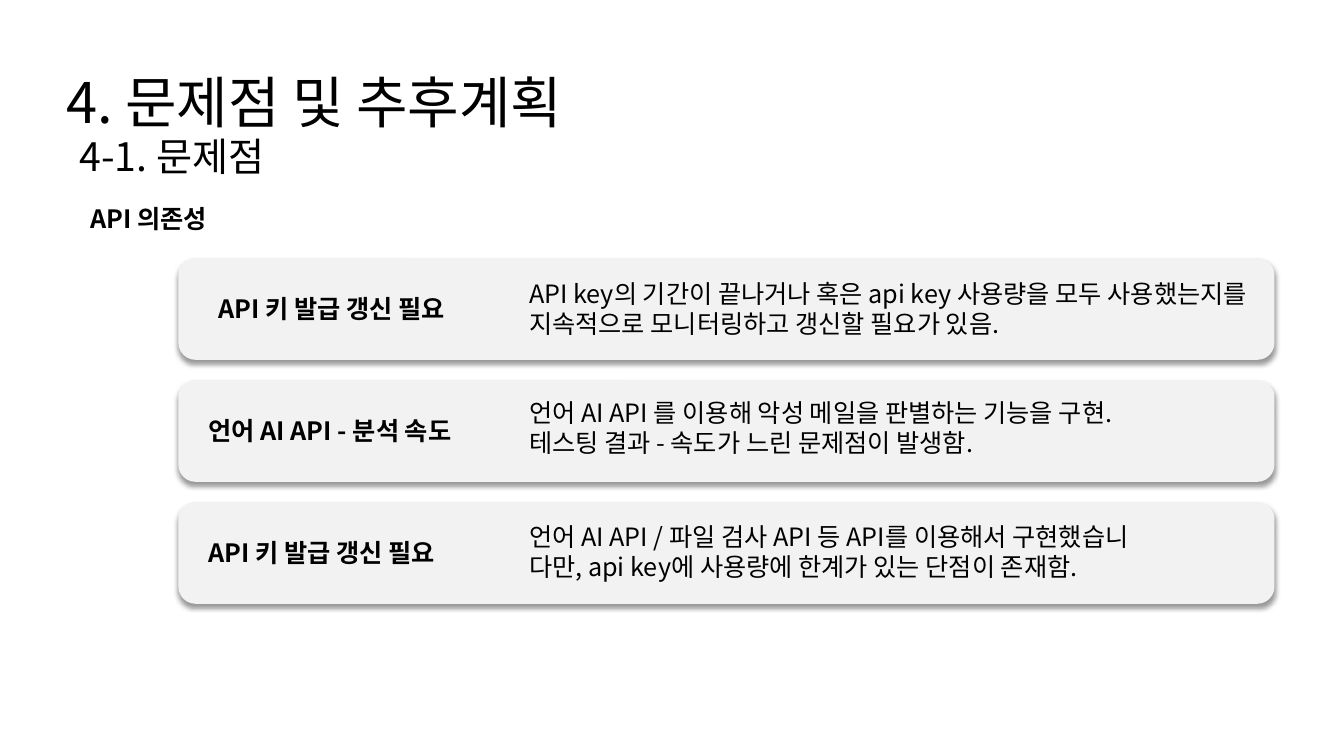
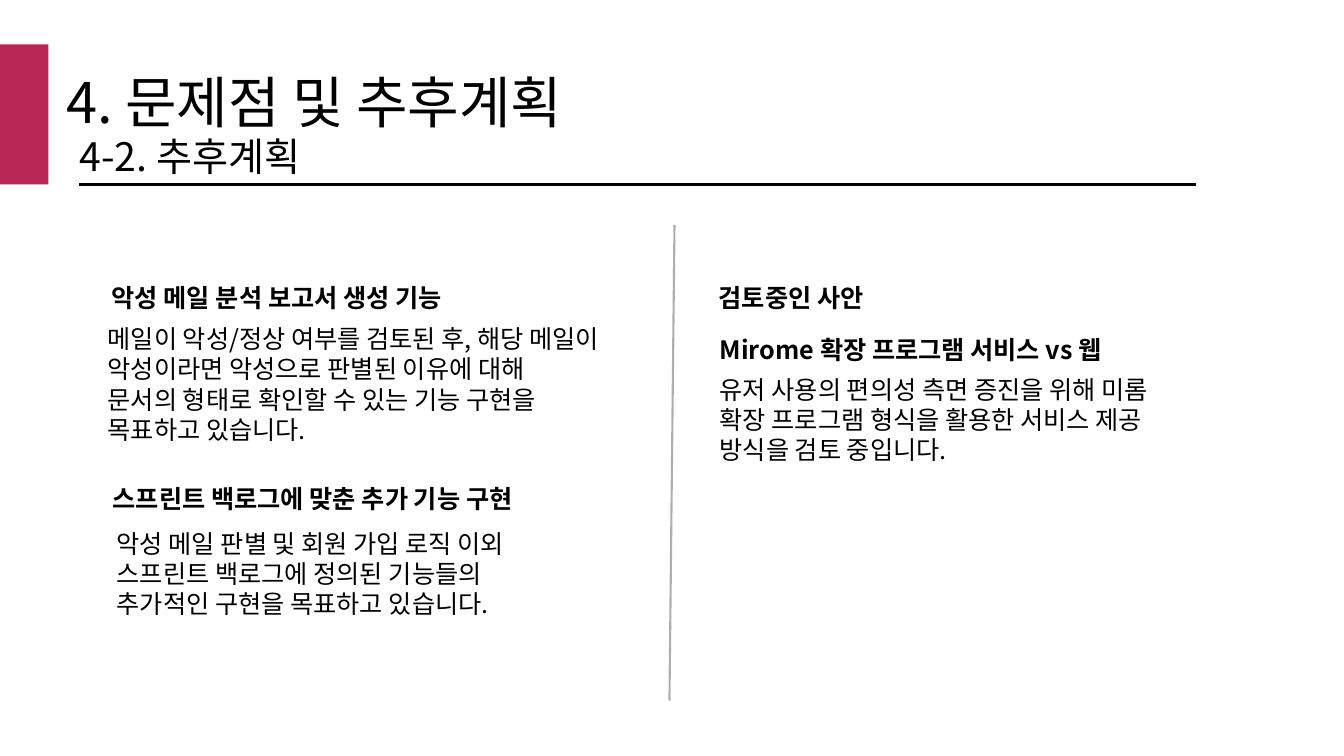
from dataclasses import dataclass

from lxml import etree
from pptx import Presentation
from pptx.dml.color import RGBColor
from pptx.enum.shapes import MSO_CONNECTOR, MSO_SHAPE
from pptx.enum.text import MSO_AUTO_SIZE
from pptx.oxml.ns import qn
from pptx.util import Inches, Pt

RECTANGLE = MSO_SHAPE.RECTANGLE
ROUNDED = MSO_SHAPE.ROUNDED_RECTANGLE
STRAIGHT = MSO_CONNECTOR.STRAIGHT
GROW = MSO_AUTO_SIZE.SHAPE_TO_FIT_TEXT


@dataclass(frozen=True)
class Theme:
    font: str = "Noto Sans CJK KR"
    ink: str = "000000"
    card: str = "F2F2F2"
    accent: str = "B72654"
    divider: str = "AEAEAE"
    title_size: int = 40
    subtitle_size: int = 28
    body_size: int = 18
    rule_width: float = 1.5


THEME = Theme()
TITLE = "4. 문제점 및 추후계획"
CARD_TOP = 2.56
CARD_HEIGHT = 1.01
CARD_STEP = 1.21
CARDS = [
    ("API 키 발급 갱신 필요", 2.07, 0.15,
     ["API key의 기간이 끝나거나 혹은 api key 사용량을 모두 "
      "사용했는지를 지속적으로 모니터링하고 갱신할 필요가 있음."]),
    ("언어 AI API - 분석 속도", 1.97, 0.12,
     ["언어 AI API 를 이용해 악성 메일을 판별하는 기능을 구현.",
      "테스팅 결과 - 속도가 느린 문제점이 발생함."]),
    ("API 키 발급 갱신 필요", 1.97, 0.14,
     ["언어 AI API / 파일 검사 API 등 API를 이용해서 구현했습니",
      "다만, api key에 사용량에 한계가 있는 단점이 존재함."]),
]
PLAN_HEADINGS = [
    (1.01, 2.75, 5.44, "악성 메일 분석 보고서 생성 기능"),
    (1.02, 4.75, 5.42, "스프린트 백로그에 맞춘 추가 기능 구현"),
    (7.03, 2.75, 3, "검토중인 사안"),
    (7.04, 3.27, 4.44, "Mirome 확장 프로그램 서비스 vs 웹"),
]
PLAN_TEXTS = [
    (0.97, 3.16, 5.44, 1.62,
     ["메일이 악성/정상 여부를 검토된 후, 해당 메일이 악성이라면 악성으로 판별된 이유에 대해",
      "문서의 형태로 확인할 수 있는 기능 구현을",
      "목표하고 있습니다."]),
    (1.06, 5.19, 4.71, 1.01,
     ["악성 메일 판별 및 회원 가입 로직 이외 스프린트 백로그에 정의된 기능들의 "
      "추가적인 구현을 목표하고 있습니다."]),
    (7.04, 3.66, 4.76, 1.03,
     ["유저 사용의 편의성 측면 증진을 위해 미롬 확장 프로그램 형식을 활용한 "
      "서비스 제공 방식을 검토 중입니다."]),
]


def color(value):
    return RGBColor.from_string(value)


def add_text(page, left, top, width, height, lines, size=THEME.body_size, bold=False):
    box = page.shapes.add_textbox(Inches(left), Inches(top), Inches(width), Inches(height))
    frame = box.text_frame
    frame.word_wrap = True
    frame.auto_size = GROW
    for index, line in enumerate(lines):
        para = frame.add_paragraph() if index else frame.paragraphs[0]
        span = para.add_run()
        span.text = line
        span.font.size = Pt(size)
        span.font.bold = bold
        span.font.name = THEME.font
        span.font.color.rgb = color(THEME.ink)
        east_asian = etree.SubElement(span.font._element, qn("a:ea"))
        east_asian.set("typeface", THEME.font)


def add_heading(page, left, top, width, text):
    add_text(page, left, top, width, 0.4, [text], bold=True)


def add_panel(page, preset, left, top, width, height, fill):
    panel = page.shapes.add_shape(
        preset, Inches(left), Inches(top), Inches(width), Inches(height))
    panel.shadow.inherit = False
    panel.fill.solid()
    panel.fill.fore_color.rgb = color(fill)
    panel.line.fill.background()
    return panel


def add_drop_shadow(panel):
    effects = panel._element.spPr.find(qn("a:effectLst"))
    shadow = etree.SubElement(
        effects, qn("a:outerShdw"), blurRad=str(Pt(4)), dist=str(Pt(3)),
        dir="5400000", algn="t", rotWithShape="0")
    tint = etree.SubElement(shadow, qn("a:srgbClr"), val=THEME.ink)
    etree.SubElement(tint, qn("a:alpha"), val="40000")


def add_rule(page, start, end, stroke):
    rule = page.shapes.add_connector(STRAIGHT, *(Inches(value) for value in start + end))
    rule.line.color.rgb = color(stroke)
    rule.line.width = Pt(THEME.rule_width)
    etree.SubElement(rule._element.spPr, qn("a:effectLst"))


def add_page(deck, subtitle):
    page = deck.slides.add_slide(deck.slide_layouts[6])
    add_text(page, 0.56, 0.62, 11.22, 0.77, [TITLE], THEME.title_size)
    add_text(page, 0.69, 1.26, 5.45, 0.57, [subtitle], THEME.subtitle_size)
    return page


def build_problems(deck):
    page = add_page(deck, "4-1. 문제점")
    add_heading(page, 0.8, 1.97, 3, "API 의존성")
    for index, (label, label_left, text_offset, lines) in enumerate(CARDS):
        top = CARD_TOP + index * CARD_STEP
        card = add_panel(page, ROUNDED, 1.77, top, 10.87, CARD_HEIGHT, THEME.card)
        add_drop_shadow(card)
        add_heading(page, label_left, top + 0.3, 3.2, label)
        add_text(page, 5.15, top + text_offset, 7.41, 0.71, lines)


def build_plans(deck):
    page = add_page(deck, "4-2. 추후계획")
    add_panel(page, RECTANGLE, 0, 0.44, 0.48, 1.39, THEME.accent)
    add_rule(page, (0.78, 1.83), (11.86, 1.83), THEME.ink)
    add_rule(page, (6.69, 2.23), (6.64, 6.95), THEME.divider)
    for heading in PLAN_HEADINGS:
        add_heading(page, *heading)
    for text in PLAN_TEXTS:
        add_text(page, *text)


def main():
    deck = Presentation()
    deck.slide_width = Inches(13.33)
    deck.slide_height = Inches(7.5)
    build_problems(deck)
    build_plans(deck)
    deck.save("out.pptx")


if __name__ == "__main__":
    main()
